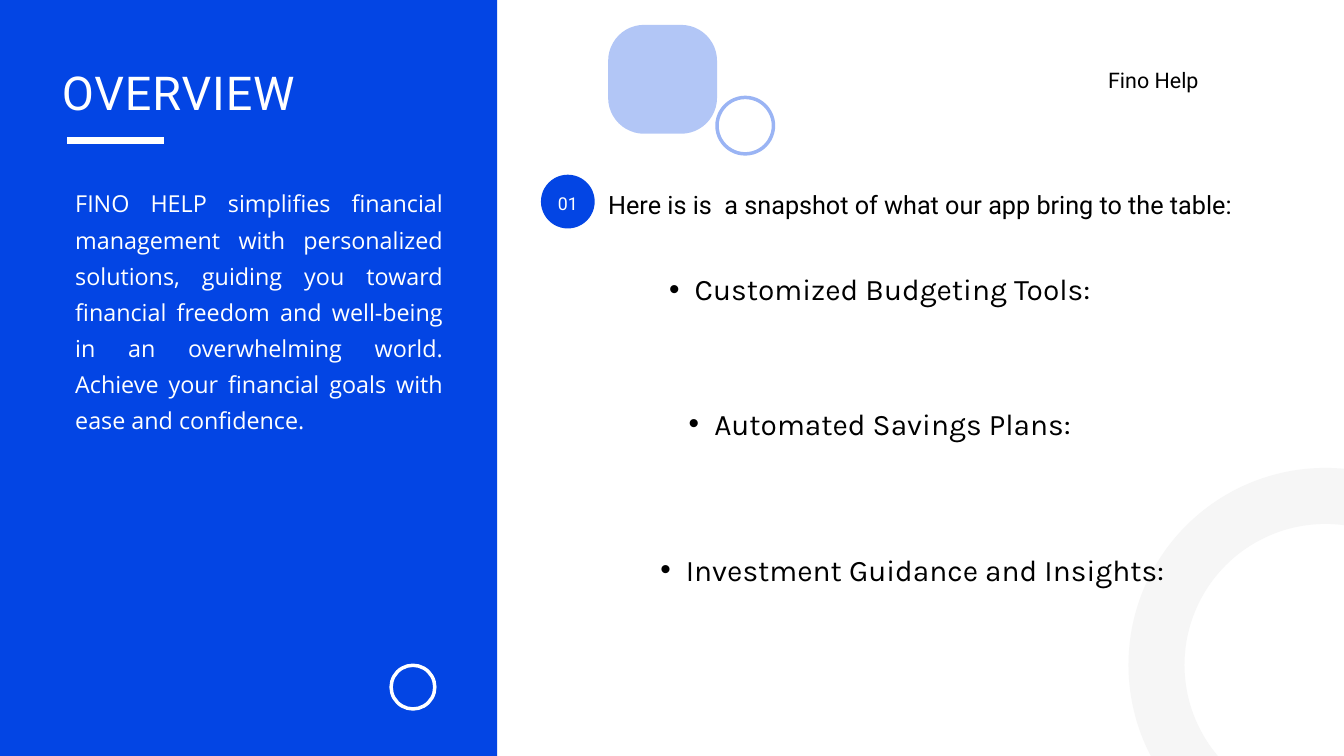
"""Build the overview slide of the Fino Help deck."""
import dataclasses

import lxml.etree
import pptx
import pptx.dml.color
import pptx.enum.shapes
import pptx.enum.text
import pptx.oxml.ns
import pptx.util

Inches = pptx.util.Inches
Pt = pptx.util.Pt
Align = pptx.enum.text.PP_ALIGN
Anchor = pptx.enum.text.MSO_ANCHOR
Kind = pptx.enum.shapes.MSO_SHAPE
qn = pptx.oxml.ns.qn


@dataclasses.dataclass(frozen=True)
class Theme:
    blue: str = "0345E4"
    white: str = "FFFFFF"
    black: str = "000000"
    grey: str = "F6F6F6"
    title: int = 50
    feature: int = 32
    lead: int = 27
    body: int = 25
    brand: int = 23
    number: int = 19
    heading_font: str = "Roboto"
    body_font: str = "Open Sans"
    feature_font: str = "Karla"


theme = Theme()


def write(shape, text, *, size, spacing, font=theme.heading_font, color=theme.black,
          align=Align.LEFT, anchor=Anchor.TOP, bullet=False, tracking=0):
    frame = shape.text_frame
    frame.word_wrap = True
    frame.auto_size = pptx.enum.text.MSO_AUTO_SIZE.NONE
    frame.vertical_anchor = anchor
    frame.margin_left = frame.margin_right = frame.margin_top = frame.margin_bottom = 0
    para = frame.paragraphs[0]
    para.alignment = align
    para.line_spacing = Pt(spacing)
    para.space_before = Pt(0)
    if bullet:
        para.level = 1
        properties = para._p.get_or_add_pPr()
        properties.set("marL", str(Inches(0.76)))
        properties.set("indent", str(Inches(-0.38)))
        lxml.etree.SubElement(properties, qn("a:buFont")).set("typeface", "Arial")
        lxml.etree.SubElement(properties, qn("a:buChar")).set("char", "•")
    span = para.add_run()
    span.text = text
    span.font.size = Pt(size)
    span.font.name = font
    span.font.color.rgb = pptx.dml.color.RGBColor.from_string(color)
    if tracking:
        span.font._element.set("spc", str(tracking * 100))


def draw(kind, left, top, width, height, *, fill=None, line=None, weight=0, opacity=100):
    shape = page.shapes.add_shape(kind, Inches(left), Inches(top), Inches(width), Inches(height))
    shape.shadow.inherit = False
    if fill:
        shape.fill.solid()
        shape.fill.fore_color.rgb = pptx.dml.color.RGBColor.from_string(fill)
    else:
        shape.fill.background()
    if line:
        shape.line.color.rgb = pptx.dml.color.RGBColor.from_string(line)
        shape.line.width = Pt(weight)
    else:
        shape.line.fill.background()
    if opacity < 100:
        for color in shape.element.spPr.iter(qn("a:srgbClr")):
            lxml.etree.SubElement(color, qn("a:alpha")).set("val", str(opacity * 1000))
    return shape


deck = pptx.Presentation()
deck.slide_width, deck.slide_height = Inches(20), Inches(11.25)
page = deck.slides.add_slide(deck.slide_layouts[5])

panel = draw(Kind.RECTANGLE, 0, 0, 7.4, 11.25, fill=theme.blue)
title = page.shapes.title
title.element.addprevious(panel.element)
title.left, title.top, title.width, title.height = map(Inches, (0.92, 0.81, 5, 0.93))
write(title, "OVERVIEW", size=theme.title, spacing=70, color=theme.white, tracking=1)

rule = page.shapes.add_connector(
    pptx.enum.shapes.MSO_CONNECTOR.STRAIGHT, Inches(1), Inches(2.09), Inches(2.44), Inches(2.09))
rule.line.color.rgb = pptx.dml.color.RGBColor.from_string(theme.white)
rule.line.width = Pt(7.5)
lxml.etree.SubElement(rule.element.spPr, qn("a:effectLst"))

summary = page.shapes.add_textbox(Inches(1.12), Inches(2.7), Inches(5.47), Inches(3.69))
write(summary,
      "FINO HELP simplifies financial management with personalized solutions, guiding you "
      "toward financial freedom and well-being in an overwhelming world. Achieve your "
      "financial goals with ease and confidence.",
      size=theme.body, spacing=38.7, font=theme.body_font, color=theme.white, align=Align.JUSTIFY)

badge = draw(Kind.OVAL, 8.05, 2.6, 0.8, 0.8, fill=theme.blue)
write(badge, "01", size=theme.number, spacing=26.6, color=theme.white,
      align=Align.CENTER, anchor=Anchor.MIDDLE)

lead = page.shapes.add_textbox(Inches(9.05), Inches(2.74), Inches(10.2), Inches(1.02))
write(lead, "Here is is  a snapshot of what our app bring to the table:",
      size=theme.lead, spacing=37.8)

draw(Kind.OVAL, 17.21, 7.38, 5.03, 5.03, line=theme.grey, weight=60)
tile = draw(Kind.ROUNDED_RECTANGLE, 9.05, 0.37, 1.62, 1.62, fill=theme.blue, opacity=30)
tile.adjustments[0] = 0.33
draw(Kind.OVAL, 10.67, 1.45, 0.84, 0.84, line=theme.blue, weight=3.75, opacity=40)
draw(Kind.OVAL, 5.82, 9.9, 0.65, 0.65, line=theme.white, weight=3.75)

features = [
    ("Customized Budgeting Tools:", 9.15, 3.94, 7.51),
    ("Automated Savings Plans:", 9.15, 5.94, 7.51),
    ("Investment Guidance and Insights:", 9.31, 8.12, 8.16),
]
for text, left, top, width in features:
    feature = page.shapes.add_textbox(Inches(left), Inches(top), Inches(width), Inches(0.59))
    write(feature, text, size=theme.feature, spacing=44.8, font=theme.feature_font,
          align=Align.CENTER, bullet=True)

brand = page.shapes.add_textbox(Inches(16.49), Inches(0.93), Inches(3), Inches(0.43))
write(brand, "Fino Help", size=theme.brand, spacing=32.2)

deck.save("out.pptx")
